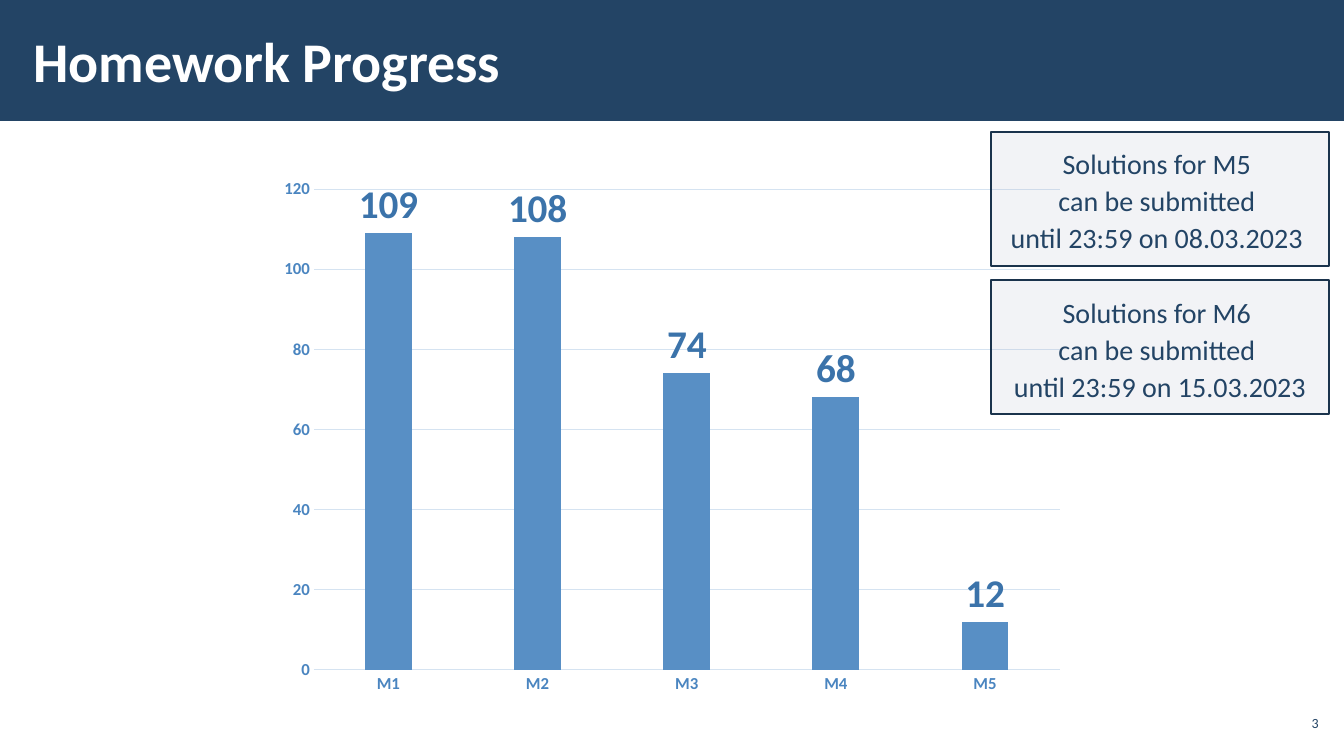
import pptx
import pptx.chart.data
import pptx.dml.color
import pptx.enum.chart
import pptx.enum.shapes
import pptx.enum.text
import pptx.oxml
import pptx.oxml.ns
import pptx.util
from pptx.util import Inches

COLORS = {
    "navy": "234465",
    "white": "FFFFFF",
    "box": "ADB4C3",
    "box_line": "1A334C",
    "bar": "588FC5",
    "value": "3B73AA",
    "axis": "4A85C0",
    "grid": "D5E3F1",
}
FONT = "Calibri"
ALIGN = pptx.enum.text.PP_ALIGN


def rgb(name):
    return pptx.dml.color.RGBColor.from_string(COLORS[name])


def style_font(font, size, color, bold=False):
    font.name = FONT
    font.size = pptx.util.Pt(size)
    font.bold = bold
    font.color.rgb = rgb(color)


def write_text(frame, lines, size, color="navy", bold=False, align=ALIGN.LEFT,
               spacing=1.0, margins=(0.04, 0.04), wrap=True):
    """Fill a text frame, one paragraph per line."""
    frame.auto_size = pptx.enum.text.MSO_AUTO_SIZE.NONE
    frame.word_wrap = wrap
    frame.vertical_anchor = pptx.enum.text.MSO_ANCHOR.MIDDLE
    frame.margin_left = frame.margin_right = Inches(margins[0])
    frame.margin_top = frame.margin_bottom = Inches(margins[1])
    for number, line in enumerate(lines):
        paragraph = frame.add_paragraph() if number else frame.paragraphs[0]
        paragraph.alignment = align
        paragraph.line_spacing = spacing
        run = paragraph.add_run()
        run.text = line
        style_font(run.font, size, color, bold)


class SlideBuilder:
    def __init__(self, slide):
        self.slide = slide
        self.shapes = slide.shapes

    def rectangle(self, left, top, width, height, fill, line=None, alpha=None):
        shape = self.shapes.add_shape(
            pptx.enum.shapes.MSO_SHAPE.RECTANGLE,
            Inches(left), Inches(top), Inches(width), Inches(height))
        shape.shadow.inherit = False
        shape.fill.solid()
        shape.fill.fore_color.rgb = rgb(fill)
        if line:
            shape.line.color.rgb = rgb(line)
            shape.line.width = pptx.util.Pt(1)
        else:
            shape.line.fill.background()
        if alpha is not None:
            color = shape.fill._xPr.find(".//" + pptx.oxml.ns.qn("a:srgbClr"))
            color.append(pptx.oxml.parse_xml(
                f'<a:alpha {pptx.oxml.ns.nsdecls("a")} val="{alpha * 1000}"/>'))
        return shape

    def title(self, text):
        heading = self.shapes.title
        heading.left, heading.top = Inches(0.21), Inches(0.11)
        heading.width, heading.height = Inches(10.63), Inches(0.97)
        write_text(heading.text_frame, [text], 40, "white", bold=True,
                   margins=(0.12, 0.04))
        # Bring the heading in front of the band
        self.shapes._spTree.append(heading._element)

    def page_number(self, number):
        box = self.shapes.add_textbox(
            Inches(12.65), Inches(7), Inches(0.47), Inches(0.34))
        write_text(box.text_frame, [number], 10, align=ALIGN.RIGHT)

    def deadline(self, top, lines):
        notice = self.rectangle(9.83, top, 3.35, 1.33, "box", "box_line", alpha=15)
        write_text(notice.text_frame, lines, 20, align=ALIGN.CENTER,
                   spacing=1.1, margins=(0.16, 0.12), wrap=False)

    def column_chart(self, categories, values):
        data = pptx.chart.data.CategoryChartData()
        data.categories = categories
        data.add_series("Series 1", values)
        chart = self.shapes.add_chart(
            pptx.enum.chart.XL_CHART_TYPE.COLUMN_CLUSTERED,
            Inches(2.66), Inches(1.67), Inches(8.01), Inches(5.32), data).chart
        chart.has_legend = False
        chart.has_title = False
        style_font(chart.font, 10, "navy")

        # Axes and grid
        for axis in (chart.category_axis, chart.value_axis):
            axis.major_tick_mark = pptx.enum.chart.XL_TICK_MARK.NONE
            axis.minor_tick_mark = pptx.enum.chart.XL_TICK_MARK.NONE
            style_font(axis.tick_labels.font, 12, "axis", bold=True)
        chart.value_axis.minimum_scale = 0
        chart.value_axis.maximum_scale = 120
        chart.value_axis.major_unit = 20
        chart.value_axis.format.line.fill.background()
        for line in (chart.category_axis.format.line,
                     chart.value_axis.major_gridlines.format.line):
            line.color.rgb = rgb("grid")
            line.width = pptx.util.Pt(0.75)

        # Columns and value labels
        plot = chart.plots[0]
        plot.gap_width = 219
        plot.overlap = -27
        plot.vary_by_categories = False
        submissions = plot.series[0]
        submissions.format.fill.solid()
        submissions.format.fill.fore_color.rgb = rgb("bar")
        labels = submissions.data_labels
        labels.show_value = True
        labels.position = pptx.enum.chart.XL_LABEL_POSITION.OUTSIDE_END
        style_font(labels.font, 28, "value", bold=True)


def main():
    deck = pptx.Presentation()
    deck.slide_width, deck.slide_height = Inches(13.33), Inches(7.5)
    title_only = deck.slide_layouts[5]
    progress = SlideBuilder(deck.slides.add_slide(title_only))

    # Header band and title
    progress.rectangle(0, 0, 13.33, 1.2, "navy")
    progress.title("Homework Progress")
    progress.page_number("3")

    # Submissions per module
    progress.column_chart(["M1", "M2", "M3", "M4", "M5"], [109, 108, 74, 68, 12])

    # Deadlines
    deadlines = [("M5", "08.03.2023 "), ("M6", "15.03.2023")]
    for row, (module, date) in enumerate(deadlines):
        progress.deadline(1.31 + 1.47 * row, [
            f"Solutions for {module} ", "can be submitted ", f"until 23:59 on {date}"])

    deck.save("out.pptx")


if __name__ == "__main__":
    main()
